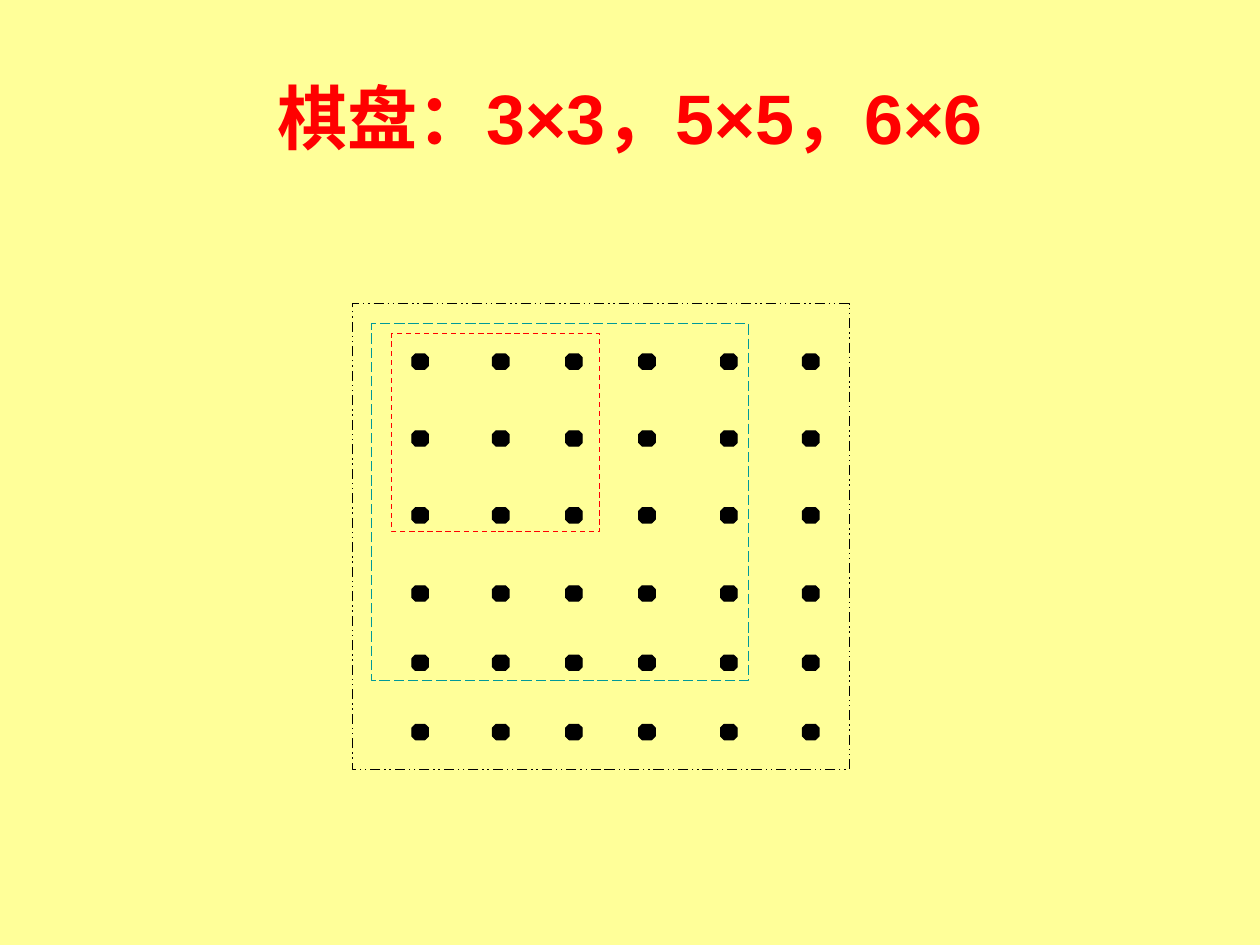
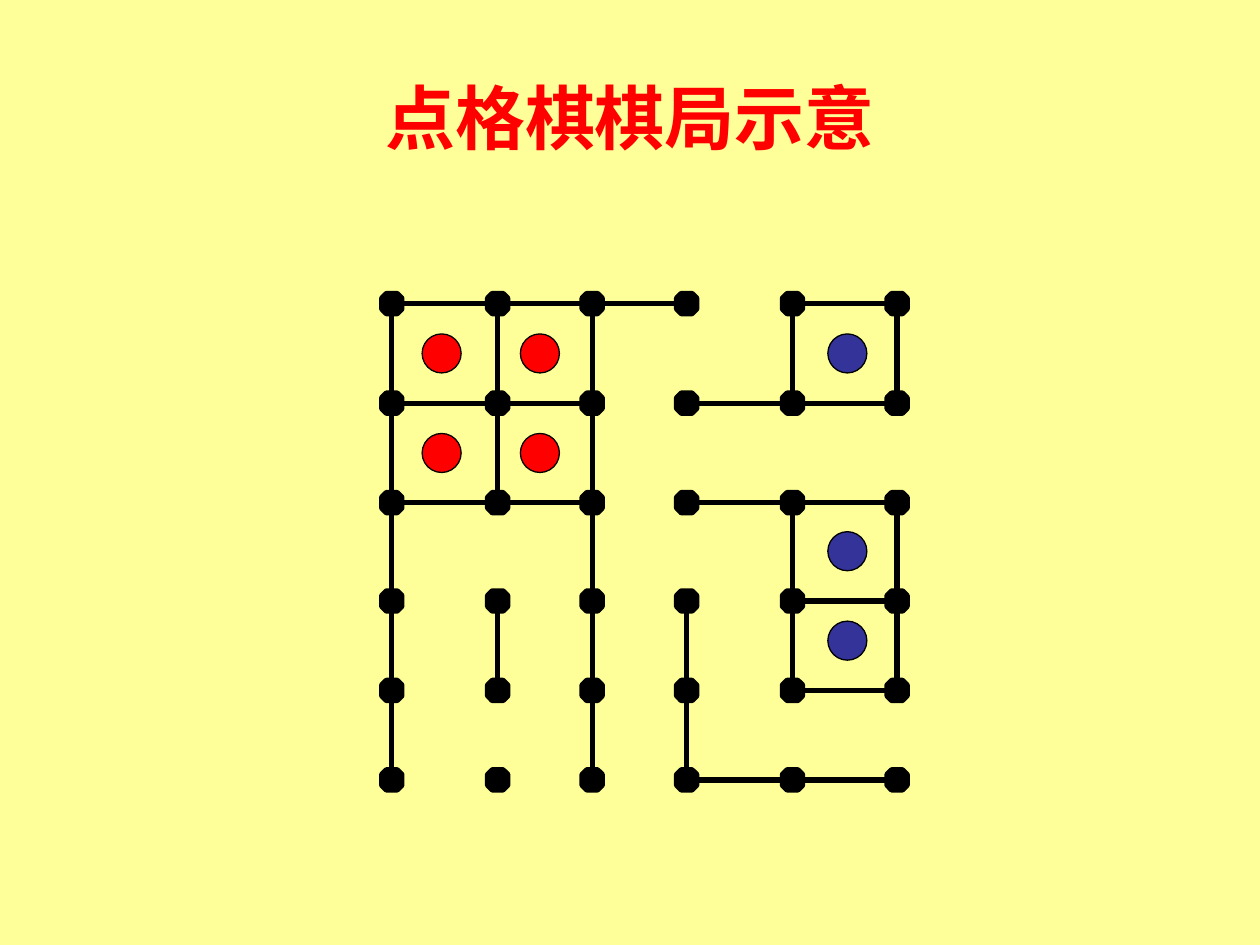
from itertools import product

from lxml.etree import SubElement
from pptx import Presentation
from pptx.dml.color import RGBColor
from pptx.enum.dml import MSO_LINE
from pptx.enum.shapes import MSO_CONNECTOR, MSO_SHAPE
from pptx.enum.text import MSO_ANCHOR, PP_ALIGN
from pptx.oxml.ns import qn
from pptx.util import Pt

PX = 9144  # 100 px to the inch
YELLOW = RGBColor(0xFF, 0xFF, 0x99)
RED = RGBColor(0xFF, 0x00, 0x00)
BLACK = RGBColor(0x00, 0x00, 0x00)
TEAL = RGBColor(0x00, 0x99, 0x99)
BLUE = RGBColor(0x33, 0x33, 0x99)
TITLE_FONT = {"name": "Arial", "size": Pt(40), "bold": True}

presentation = Presentation()
presentation.slide_width = 1000 * PX
presentation.slide_height = 750 * PX


def add_titled_slide(title):
    slide = presentation.slides.add_slide(presentation.slide_layouts[6])
    slide.background.fill.solid()
    slide.background.fill.fore_color.rgb = YELLOW
    box = slide.shapes.add_textbox(50 * PX, 30 * PX, 900 * PX, 125 * PX)
    box.text_frame.word_wrap = True
    box.text_frame.vertical_anchor = MSO_ANCHOR.MIDDLE
    paragraph = box.text_frame.paragraphs[0]
    paragraph.alignment = PP_ALIGN.CENTER
    run = paragraph.add_run()
    run.text = title
    for attribute, value in TITLE_FONT.items():
        setattr(run.font, attribute, value)
    run.font.color.rgb = RED
    return slide


def add_figure(slide, kind, left, top, width, height, fill=None, line=BLACK, weight=0.75):
    shape = slide.shapes.add_shape(kind, left * PX, top * PX, width * PX, height * PX)
    shape.shadow.inherit = False
    if fill is None:
        shape.fill.background()
    else:
        shape.fill.solid()
        shape.fill.fore_color.rgb = fill
    shape.line.color.rgb = line
    shape.line.width = Pt(weight)
    if kind == MSO_SHAPE.OCTAGON:
        shape.adjustments[0] = 0.231
    return shape


# Slide 1: board sizes
slide = add_titled_slide("棋盘：3×3，5×5，6×6")

dot_lefts = [327, 391, 449, 507, 572, 637]
dot_tops = [281, 342, 403, 465, 520, 575]
for top, left in product(dot_tops, dot_lefts):
    add_figure(slide, MSO_SHAPE.OCTAGON, left, top, 13, 12, BLACK)

# Dashed frames around the 5×5, 3×3 and 6×6 boards
board_frames = [
    (295, 257, 299, 283, TEAL, MSO_LINE.LONG_DASH),
    (311, 265, 165, 157, RED, MSO_LINE.DASH),
    (280, 241, 394, 370, BLACK, MSO_LINE.LONG_DASH_DOT_DOT
     if hasattr(MSO_LINE, "LONG_DASH_DOT_DOT") else MSO_LINE.DASH_DOT_DOT),
]
for left, top, width, height, color, dash in board_frames:
    frame = add_figure(slide, MSO_SHAPE.RECTANGLE, left, top, width, height, line=color)
    frame.line.dash_style = dash

# Slide 2: a game in progress
slide = add_titled_slide("点格棋棋局示意")

column_x = [311, 395, 470, 545, 629, 712]
row_y = [241, 320, 399, 477, 548, 619]
for y, x in product(row_y, column_x):
    add_figure(slide, MSO_SHAPE.OCTAGON, x - 8, y - 8, 16, 16, BLACK, weight=3)

# Drawn edges: start column, start row, end column, end row
edges = [
    (0, 0, 3, 0), (0, 1, 2, 1), (0, 2, 2, 2),
    (0, 0, 0, 5), (1, 0, 1, 2), (2, 0, 2, 5), (1, 3, 1, 4),
    (3, 1, 4, 1), (4, 2, 4, 4), (5, 2, 5, 4),
    (4, 2, 5, 2), (4, 3, 5, 3), (4, 4, 5, 4), (3, 5, 5, 5),
    (4, 0, 5, 0), (5, 0, 5, 1), (4, 0, 4, 1), (4, 1, 5, 1),
    (3, 2, 4, 2), (3, 3, 3, 5),
]
for start_column, start_row, end_column, end_row in edges:
    edge = slide.shapes.add_connector(
        MSO_CONNECTOR.STRAIGHT,
        column_x[start_column] * PX, row_y[start_row] * PX,
        column_x[end_column] * PX, row_y[end_row] * PX)
    edge.line.color.rgb = BLACK
    edge.line.width = Pt(3)
    SubElement(edge._element.spPr, qn("a:effectLst"))

# Captured boxes of the two players
red_pieces = [(left, top, RED) for top, left in product((265, 344), (335, 413))]
blue_pieces = [(657, top, BLUE) for top in (265, 422, 493)]
for left, top, color in red_pieces + blue_pieces:
    add_figure(slide, MSO_SHAPE.OVAL, left, top, 31, 31, color)

presentation.save("out.pptx")
